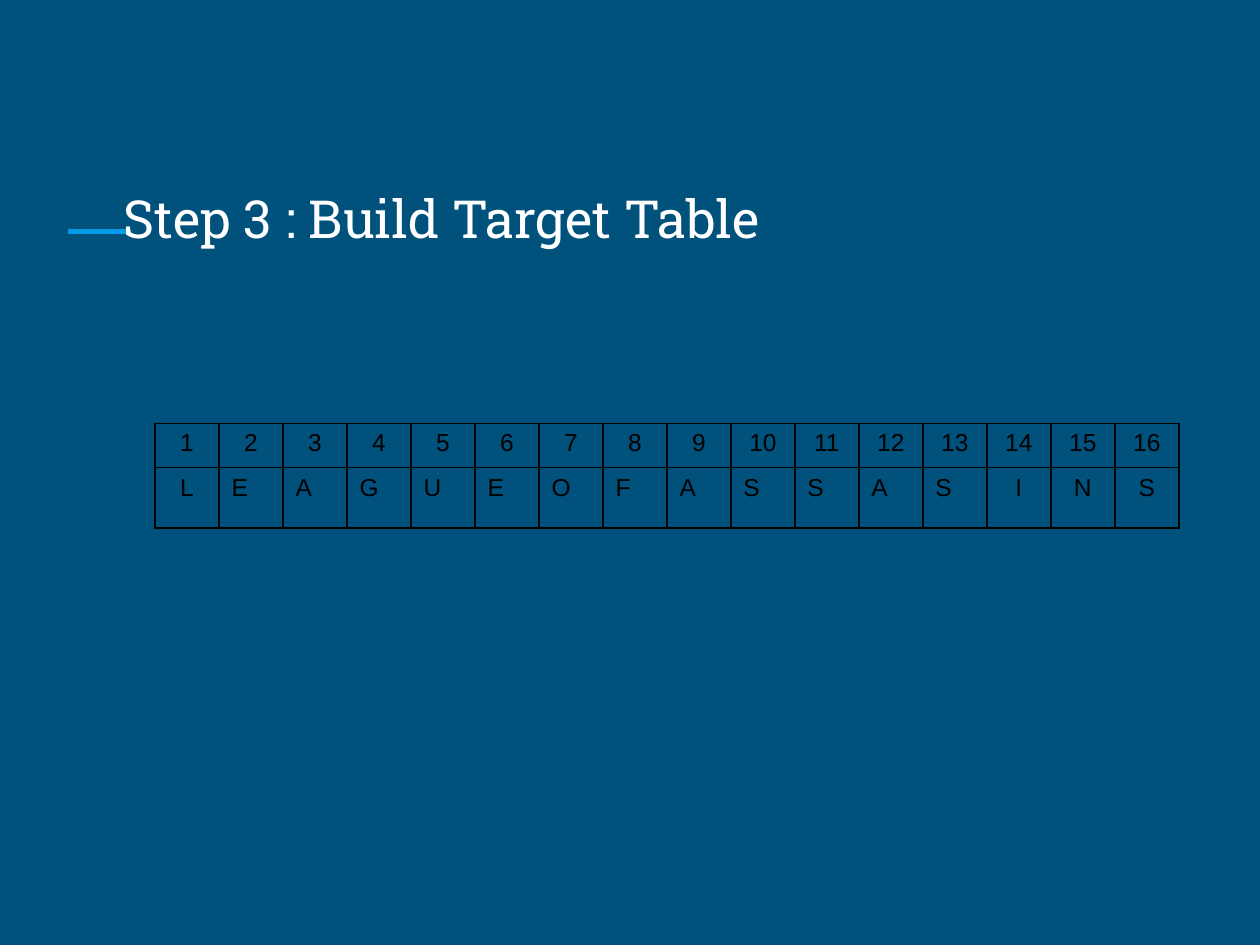
"""Build the target table slide: letters of a phrase numbered by position."""
from lxml import etree
from pptx import Presentation
from pptx.dml.color import RGBColor
from pptx.enum.text import MSO_ANCHOR, MSO_AUTO_SIZE, PP_ALIGN
from pptx.oxml import parse_xml
from pptx.oxml.ns import nsdecls, qn
from pptx.util import Inches, Pt

TITLE = "Step 3 : Build Target Table"
LETTERS = "LEAGUEOFASSASINS"
CENTERED_LETTERS = (0, 13, 14, 15)
ROW_HEIGHTS = (0.35, 0.48)
TABLE_LEFT, TABLE_TOP, TABLE_WIDTH = 1.23, 3.36, 8.13
RULE_Y = 1.84

NAVY = RGBColor(0x00, 0x51, 0x7C)
SKY = RGBColor(0x03, 0x9B, 0xE5)
WHITE = RGBColor(0xFF, 0xFF, 0xFF)
BLACK = RGBColor(0x00, 0x00, 0x00)
BOTTOM = MSO_ANCHOR.BOTTOM
NO_FIT = MSO_AUTO_SIZE.NONE
LEFT, CENTER = PP_ALIGN.LEFT, PP_ALIGN.CENTER


def set_font(p, name, size, color):
    p.font.name = name
    p.font.size = Pt(size)
    p.font.color.rgb = color


def set_borders(cell, color, width):
    tc_pr = cell._tc.get_or_add_tcPr()
    for i, side in enumerate(("lnL", "lnR", "lnT", "lnB")):
        tc_pr.insert(i, parse_xml(
            f'<a:{side} {nsdecls("a")} w="{Pt(width)}"><a:solidFill>'
            f'<a:srgbClr val="{color}"/></a:solidFill></a:{side}>'))


def add_title(slide):
    sp = slide.shapes.title
    sp.left, sp.top, sp.width, sp.height = map(Inches, (0.88, 1.5, 7.57, 0.58))
    tf = sp.text_frame
    tf.text = TITLE
    tf.auto_size = NO_FIT
    tf.vertical_anchor = BOTTOM
    tf.margin_left = tf.margin_right = tf.margin_top = tf.margin_bottom = Inches(0.1)
    p = tf.paragraphs[0]
    p.alignment = LEFT
    set_font(p, "Roboto Slab", 30, WHITE)


def add_rule(slide):
    line = slide.shapes.add_connector(
        1, Inches(0.54), Inches(RULE_Y), Inches(1), Inches(RULE_Y))
    line.line.color.rgb = SKY
    line.line.width = Pt(3)
    etree.SubElement(line._element.spPr, qn("a:effectLst"))
    slide.shapes.title._element.addprevious(line._element)


def add_target_table(slide):
    rows = ([str(i + 1) for i in range(len(LETTERS))], LETTERS)
    table = slide.shapes.add_table(
        len(rows), len(LETTERS), Inches(TABLE_LEFT), Inches(TABLE_TOP),
        Inches(TABLE_WIDTH), Inches(sum(ROW_HEIGHTS))).table
    table.first_row = table.horz_banding = False
    for r, (texts, height) in enumerate(zip(rows, ROW_HEIGHTS)):
        table.rows[r].height = Inches(height)
        for c, text in enumerate(texts):
            cell = table.cell(r, c)
            cell.text = text
            cell.fill.background()
            set_borders(cell, BLACK, 1)
            p = cell.text_frame.paragraphs[0]
            p.alignment = CENTER if r == 0 or c in CENTERED_LETTERS else LEFT
            set_font(p, "Arial", 14, BLACK)


def main():
    prs = Presentation()
    prs.slide_width, prs.slide_height = Inches(10), Inches(7.5)
    slide = prs.slides.add_slide(prs.slide_layouts[5])
    slide.background.fill.solid()
    slide.background.fill.fore_color.rgb = NAVY
    add_title(slide)
    add_rule(slide)
    add_target_table(slide)
    prs.save("out.pptx")


if __name__ == "__main__":
    main()
